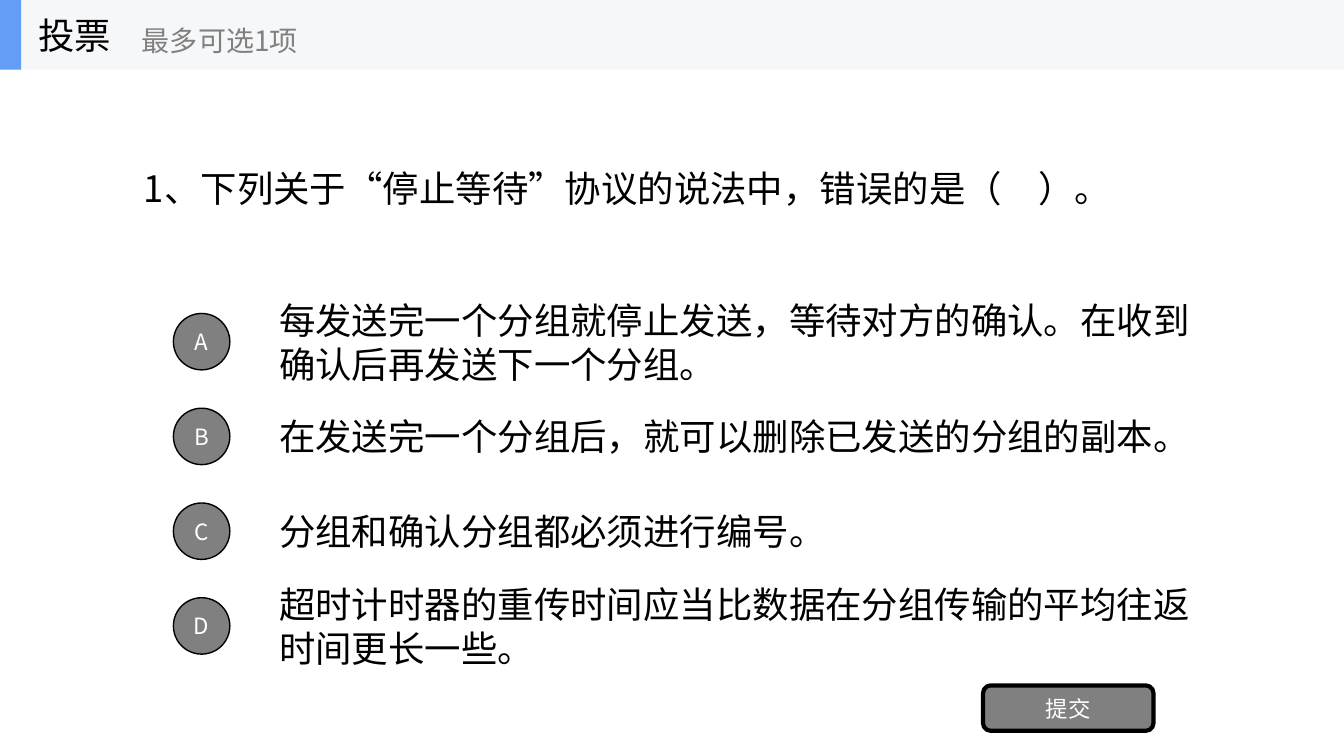
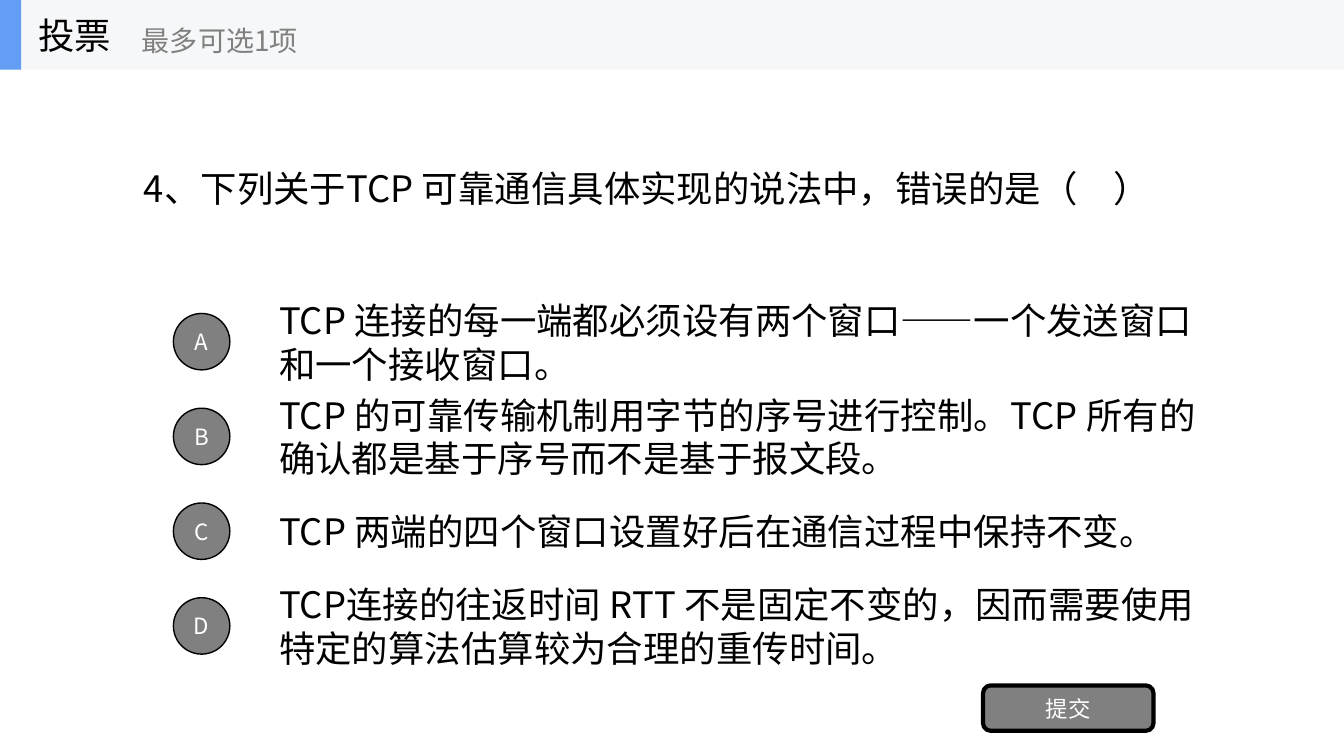
from lxml.etree import SubElement
from pptx import Presentation
from pptx.dml.color import RGBColor
from pptx.enum.shapes import MSO_SHAPE as Preset
from pptx.enum.text import MSO_ANCHOR as Anchor, PP_ALIGN as Align
from pptx.oxml.ns import qn
from pptx.util import Inches, Pt

FONT = "Noto Sans CJK SC"
BLACK = RGBColor(0x00, 0x00, 0x00)
WHITE = RGBColor(0xFF, 0xFF, 0xFF)
GRAY = RGBColor(0x80, 0x80, 0x80)
BAND = RGBColor(0xF6, 0xF7, 0xF8)
ACCENT = RGBColor(0x63, 0x9E, 0xF4)

SLIDE_WIDTH, SLIDE_HEIGHT = 13.33, 7.5
BAND_HEIGHT = 0.69
BODY_SIZE, HINT_SIZE, LABEL_SIZE = 26, 20, 16
OPTION_TOP, OPTION_PITCH, OPTION_HEIGHT = 3.04, 0.94, 0.7
CIRCLE_SIZE = 0.56

QUESTIONS = [
    (
        "1、下列关于“停止等待”协议的说法中，错误的是（　）。",
        [
            "每发送完一个分组就停止发送，等待对方的确认。在收到确认后再发送下一个分组。",
            "在发送完一个分组后，就可以删除已发送的分组的副本。",
            "分组和确认分组都必须进行编号。",
            "超时计时器的重传时间应当比数据在分组传输的平均往返时间更长一些。",
        ],
    ),
    (
        "4、下列关于TCP 可靠通信具体实现的说法中，错误的是（　）",
        [
            "TCP 连接的每一端都必须设有两个窗口——一个发送窗口和一个接收窗口。",
            "TCP 的可靠传输机制用字节的序号进行控制。TCP 所有的确认都是基于序号而不是基于报文段。",
            "TCP 两端的四个窗口设置好后在通信过程中保持不变。",
            "TCP连接的往返时间 RTT 不是固定不变的，因而需要使用特定的算法估算较为合理的重传时间。",
        ],
    ),
]


def write_text(shape, text, size, color, align=Align.LEFT, wrap=True):
    frame = shape.text_frame
    frame.word_wrap = wrap
    frame.vertical_anchor = Anchor.MIDDLE
    paragraph = frame.paragraphs[0]
    paragraph.alignment = align
    run = paragraph.add_run()
    run.text = text
    run.font.size = Pt(size)
    run.font.color.rgb = color
    run.font.name = FONT
    SubElement(run.font._element, qn("a:ea")).set("typeface", FONT)


def add_text(shapes, box, text, size=BODY_SIZE, color=BLACK, wrap=True):
    textbox = shapes.add_textbox(*map(Inches, box))
    write_text(textbox, text, size, color, wrap=wrap)


def add_block(shapes, preset, box, fill):
    shape = shapes.add_shape(preset, *map(Inches, box))
    shape.shadow.inherit = False
    shape.fill.solid()
    shape.fill.fore_color.rgb = fill
    shape.line.fill.background()
    return shape


def add_button(shapes, preset, box, label, line_width):
    button = add_block(shapes, preset, box, GRAY)
    button.line.color.rgb = BLACK
    button.line.width = Pt(line_width)
    write_text(button, label, LABEL_SIZE, WHITE, Align.CENTER, wrap=False)


def add_header(slide):
    shapes = slide.shapes.add_group_shape().shapes
    add_block(shapes, Preset.RECTANGLE, (0, 0, SLIDE_WIDTH, BAND_HEIGHT), BAND)
    add_block(shapes, Preset.RECTANGLE, (0, 0, 0.21, BAND_HEIGHT), ACCENT)
    add_text(shapes, (0.28, 0, 2.08, BAND_HEIGHT), "投票", wrap=False)
    add_text(shapes, (1.31, 0.12, 2.5, 0.56), "最多可选1项", HINT_SIZE, GRAY, wrap=False)


def add_option(shapes, index, text):
    top = OPTION_TOP + index * OPTION_PITCH
    add_text(shapes, (2.67, top, 9.33, OPTION_HEIGHT), text)
    circle_top = top + (OPTION_HEIGHT - CIRCLE_SIZE) / 2
    circle_box = (1.72, circle_top, CIRCLE_SIZE, CIRCLE_SIZE)
    add_button(shapes, Preset.OVAL, circle_box, "ABCD"[index], 1)


def add_poll_slide(presentation, question, options):
    slide = presentation.slides.add_slide(presentation.slide_layouts[6])
    add_text(slide.shapes, (1.33, BAND_HEIGHT, 10.67, 2.34), question)
    for index, option in enumerate(options):
        add_option(slide.shapes, index, option)
    add_button(slide.shapes, Preset.ROUNDED_RECTANGLE, (9.75, 6.8, 1.69, 0.45), "提交", 3)
    add_header(slide)


def main():
    presentation = Presentation()
    presentation.slide_width = Inches(SLIDE_WIDTH)
    presentation.slide_height = Inches(SLIDE_HEIGHT)
    for question, options in QUESTIONS:
        add_poll_slide(presentation, question, options)
    presentation.save("out.pptx")


if __name__ == "__main__":
    main()
